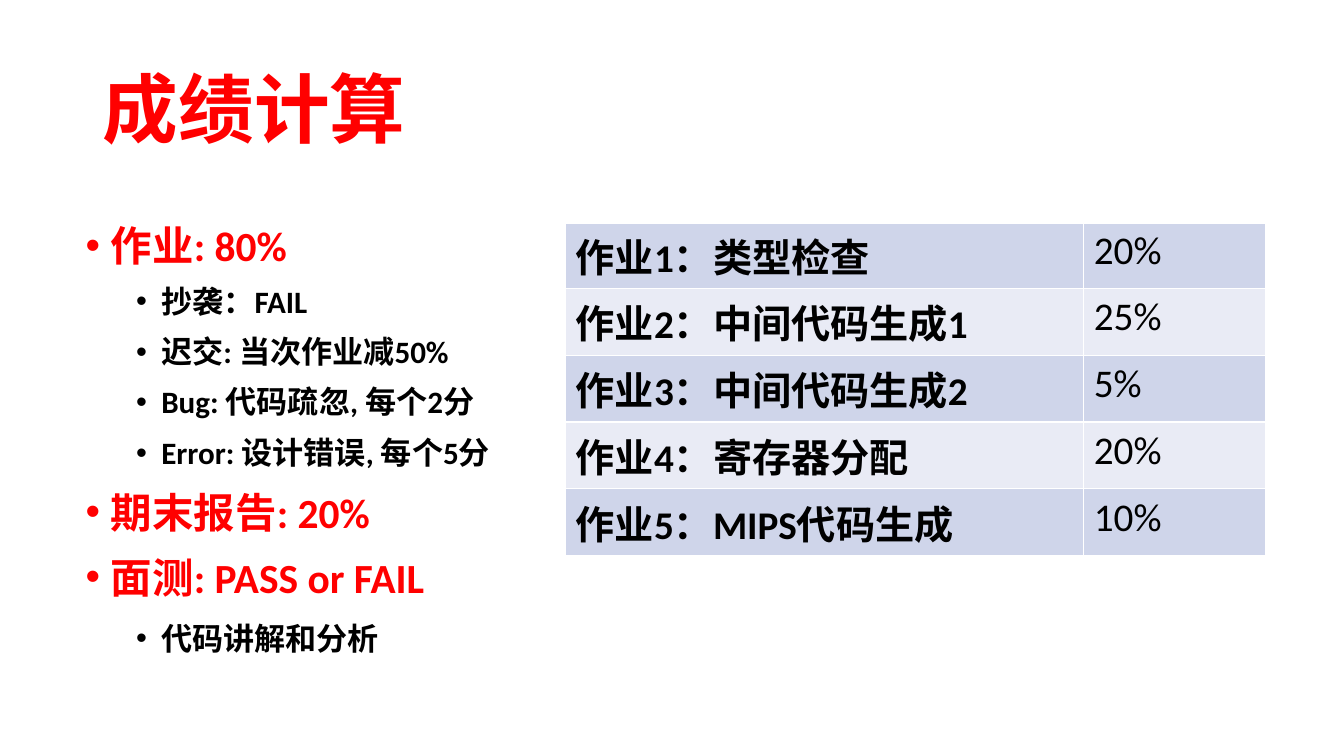
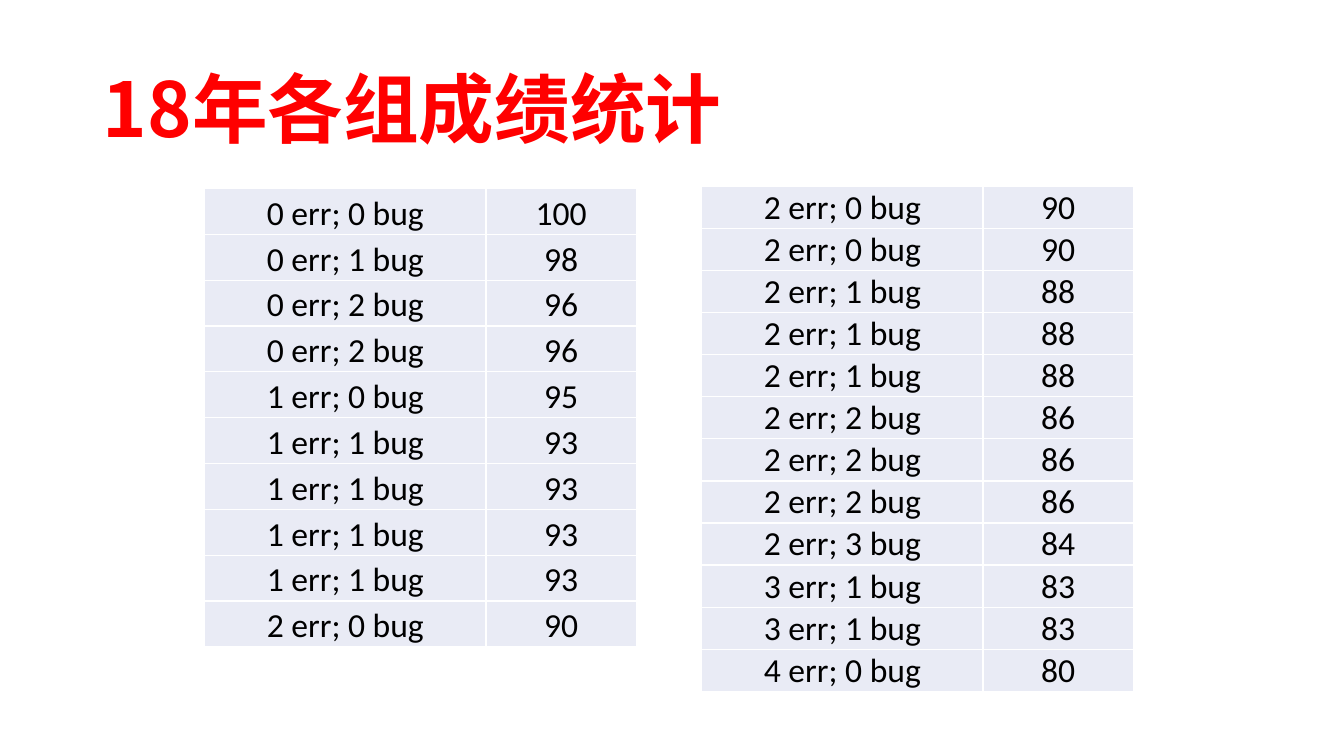
from dataclasses import dataclass

from lxml import etree
from pptx import Presentation
from pptx.dml.color import RGBColor
from pptx.enum import text
from pptx.oxml.ns import qn
from pptx.util import Inches, Pt


@dataclass(frozen=True)
class Theme:
    accent: RGBColor = RGBColor(0xFF, 0x00, 0x00)
    ink: RGBColor = RGBColor(0x00, 0x00, 0x00)
    paper: RGBColor = RGBColor(0xFF, 0xFF, 0xFF)
    band_dark: RGBColor = RGBColor(0xCF, 0xD5, 0xEA)
    band_light: RGBColor = RGBColor(0xE9, 0xEB, 0xF5)
    latin_font: str = "Calibri"
    chinese_font: str = "Noto Sans CJK SC"
    title_size: float = 54
    topic_size: float = 29.6
    detail_size: float = 22.2
    homework_size: float = 28
    score_size: float = 24


theme = Theme()


def format_runs(paragraph, size, color=theme.ink, bold=False, font_name=theme.latin_font):
    for run in paragraph.runs:
        run.font.name = font_name
        run.font.size = Pt(size)
        run.font.bold = bold
        run.font.color.rgb = color
        east_asian = etree.SubElement(run._r.get_or_add_rPr(), qn("a:ea"))
        east_asian.set("typeface", theme.chinese_font)


def add_plain_table(slide, rows, left, top, column_widths, height):
    """Add a table without header or banding; cells are formatted by the caller."""
    frame = slide.shapes.add_table(
        len(rows), len(column_widths), Inches(left), Inches(top),
        Inches(sum(column_widths)), Inches(height))
    table = frame.table
    table.first_row = table.horz_banding = False
    for column, width in zip(table.columns, column_widths):
        column.width = Inches(width)
    for table_row, values in zip(table.rows, rows):
        for cell, value in zip(table_row.cells, values):
            cell.text_frame.text = value
            cell.fill.solid()
    return table


presentation = Presentation()
presentation.slide_width = Inches(13.33)
presentation.slide_height = Inches(7.5)

# Shared titles
master_title = presentation.slide_master.placeholders[0]
master_title.left, master_title.top = Inches(0.92), Inches(0.4)
master_title.width, master_title.height = Inches(11.5), Inches(1.45)

slides = []
for layout_name, title in (("Title and Content", "成绩计算"), ("Title Only", "18年各组成绩统计")):
    layout = presentation.slide_layouts.get_by_name(layout_name)
    slide = presentation.slides.add_slide(layout)
    title_frame = slide.shapes.title.text_frame
    title_frame.text = title
    title_frame.vertical_anchor = text.MSO_ANCHOR.MIDDLE
    paragraph = title_frame.paragraphs[0]
    paragraph.alignment = text.PP_ALIGN.LEFT
    paragraph.line_spacing = 0.9
    format_runs(paragraph, theme.title_size, theme.accent, True, theme.chinese_font)
    slides.append(slide)
grading_slide, statistics_slide = slides

# Grading rules: level, text, line spacing, space before
grading_rules = [
    (0, "作业: 80%", 0.8, 0),
    (1, "抄袭：FAIL", 0.9, 12),
    (1, "迟交: 当次作业减50%", 0.9, 12),
    (1, "Bug: 代码疏忽, 每个2分", 0.9, 12),
    (1, "Error: 设计错误, 每个5分", 0.9, 12),
    (0, "期末报告: 20%", 0.8, 18),
    (0, "面测: PASS or FAIL", 0.8, 18),
    (1, "代码讲解和分析", 0.8, 18),
]
body = grading_slide.placeholders[1]
body.left, body.top = Inches(0.75), Inches(2.23)
body.width, body.height = Inches(5.57), Inches(4.37)
body_frame = body.text_frame
body_frame.auto_size = text.MSO_AUTO_SIZE.NONE
body_frame.text = "\n".join(rule[1] for rule in grading_rules)
for paragraph, (level, _, line_spacing, space_before) in zip(body_frame.paragraphs, grading_rules):
    paragraph.level = level
    paragraph.line_spacing = line_spacing
    paragraph.space_before = Pt(space_before)
    properties = paragraph._p.get_or_add_pPr()
    properties.set("marL", str(Inches(0.25 + 0.5 * level)))
    properties.set("indent", str(-Inches(0.25)))
    etree.SubElement(properties, qn("a:buFont")).set("typeface", "Arial")
    etree.SubElement(properties, qn("a:buChar")).set("char", "•")
    if level == 0:
        format_runs(paragraph, theme.topic_size, theme.accent, True)
    else:
        format_runs(paragraph, theme.detail_size, bold=True)

# Homework weights under a blank header row
homework = [
    ("", ""),
    ("作业1：类型检查", "20%"),
    ("作业2：中间代码生成1", "25%"),
    ("作业3：中间代码生成2", "5%"),
    ("作业4：寄存器分配", "20%"),
    ("作业5：MIPS代码生成", "10%"),
]
homework_table = add_plain_table(grading_slide, homework, 5.61, 1.56, (5.14, 1.8), 3.96)
homework_table.rows[0].height = Inches(0.64)
for row_index, table_row in enumerate(homework_table.rows):
    for column_index, cell in enumerate(table_row.cells):
        cell.fill.fore_color.rgb = theme.band_dark if row_index % 2 else theme.band_light
        format_runs(cell.text_frame.paragraphs[0], theme.homework_size, bold=column_index == 0)
for cell in homework_table.rows[0].cells:
    cell.fill.fore_color.rgb = theme.paper
    border = etree.Element(qn("a:lnB"), w=str(Pt(3)))
    border_fill = etree.SubElement(border, qn("a:solidFill"))
    etree.SubElement(border_fill, qn("a:srgbClr")).set("val", str(theme.paper))
    cell._tc.get_or_add_tcPr().insert(0, border)

# Group scores: errors, bugs, score
left_scores = [
    (0, 0, 100), (0, 1, 98), (0, 2, 96), (0, 2, 96), (1, 0, 95),
    (1, 1, 93), (1, 1, 93), (1, 1, 93), (1, 1, 93), (2, 0, 90),
]
right_scores = [
    (2, 0, 90), (2, 0, 90), (2, 1, 88), (2, 1, 88), (2, 1, 88), (2, 2, 86),
    (2, 2, 86), (2, 2, 86), (2, 3, 84), (3, 1, 83), (3, 1, 83), (4, 0, 80),
]
for scores, left, top, height in ((left_scores, 2.03, 1.87, 4.55), (right_scores, 6.96, 1.85, 5.01)):
    rows = [(f"{errors} err; {bugs} bug", str(score)) for errors, bugs, score in scores]
    score_table = add_plain_table(statistics_slide, rows, left, top, (2.79, 1.49), height)
    for cell in score_table.iter_cells():
        cell.fill.fore_color.rgb = theme.band_light
        cell.vertical_anchor = text.MSO_ANCHOR.BOTTOM
        cell.margin_left = cell.margin_right = cell.margin_top = Inches(0.01)
        cell.margin_bottom = 0
        paragraph = cell.text_frame.paragraphs[0]
        paragraph.alignment = text.PP_ALIGN.CENTER
        format_runs(paragraph, theme.score_size)

presentation.save("out.pptx")
